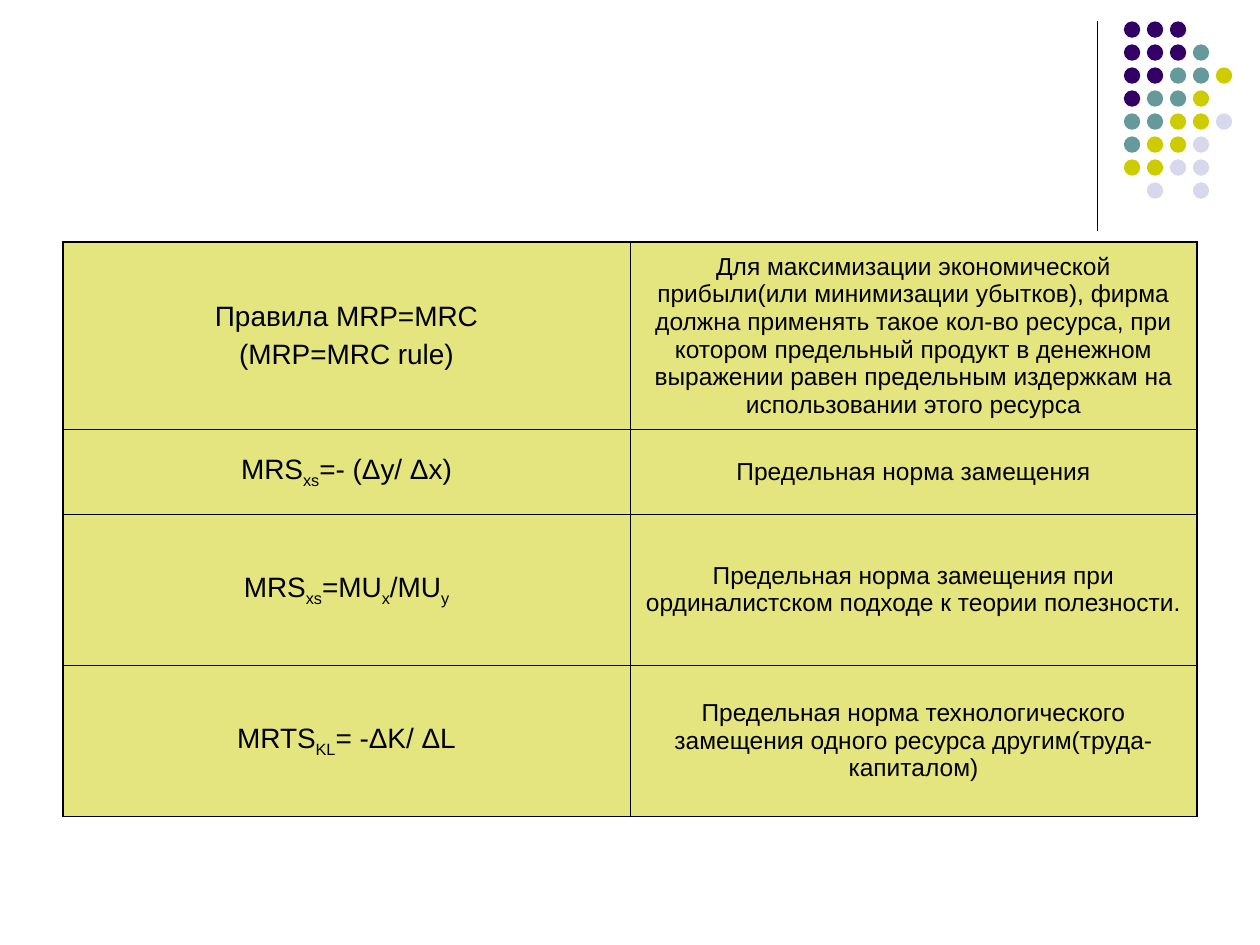
from lxml import etree
from pptx import Presentation
from pptx.dml.color import RGBColor
from pptx.enum import shapes, text
from pptx.oxml import ns
from pptx.util import Inches, Pt

BLACK = RGBColor(0x00, 0x00, 0x00)
OLIVE = RGBColor(0xCC, 0xCC, 0x00)
DOT_COLORS = {
    "P": RGBColor(0x33, 0x00, 0x66),
    "T": RGBColor(0x66, 0x99, 0x99),
    "O": OLIVE,
    "L": RGBColor(0xD8, 0xD8, 0xEC),
}
DOT_ROWS = ["PPP", "PPPT", "PPTTO", "PTTO", "TTOOL", "TOOL", "OOLL", " L L"]
DOT_LEFT, DOT_TOP, DOT_SIZE = 8.92, 0.17, 0.13
DOT_PITCH = 0.73 / 4

ROW_HEIGHTS = [1.49, 0.67, 1.2, 1.2]
COLUMN_WIDTH = 4.5
OUTER_BORDER, INNER_BORDER = 1.08, 0.45
COLUMN_STYLES = [(16, 4), (14, 3.5)]
SUBSCRIPT_MARK = "_"
FORMULAS = [
    (["Правила MRP=MRC", "(MRP=MRC rule)"],
     ["Для максимизации экономической прибыли(или минимизации убытков), "
      "фирма должна применять такое кол-во ресурса, при котором предельный "
      "продукт в денежном выражении равен предельным издержкам на "
      "использовании этого ресурса"]),
    (["MRS_xs_=- (Δy/ Δx)"], ["Предельная норма замещения"]),
    (["MRS_xs_=MU_x_/MU_y_"],
     ["Предельная норма замещения при ординалистском подходе к теории "
      "полезности."]),
    (["MRTS_KL_= -ΔK/ ΔL"],
     ["Предельная норма технологического замещения одного ресурса "
      "другим(труда-капиталом)"]),
]


def add_divider(slide):
    divider = slide.shapes.add_connector(
        shapes.MSO_CONNECTOR.STRAIGHT,
        Inches(8.71), Inches(0.17), Inches(8.71), Inches(1.83))
    divider.line.color.rgb = BLACK
    divider.line.width = Pt(0.75)
    etree.SubElement(divider._element.spPr, ns.qn("a:effectLst"))


def add_dot(slide, row, column, color):
    dot = slide.shapes.add_shape(
        shapes.MSO_SHAPE.OVAL,
        Inches(DOT_LEFT + column * DOT_PITCH),
        Inches(DOT_TOP + row * DOT_PITCH),
        Inches(DOT_SIZE), Inches(DOT_SIZE))
    dot.fill.solid()
    dot.fill.fore_color.rgb = color
    dot.line.fill.background()
    dot.shadow.inherit = False


def add_dot_pattern(slide):
    for row, codes in enumerate(DOT_ROWS):
        for column, code in enumerate(codes):
            if code in DOT_COLORS:
                add_dot(slide, row, column, DOT_COLORS[code])


def set_borders(cell, widths):
    properties = cell._tc.get_or_add_tcPr()
    for side, width in widths.items():
        border = etree.SubElement(
            properties, ns.qn(f"a:ln{side}"), w=str(int(Pt(width))))
        paint = etree.SubElement(border, ns.qn("a:solidFill"))
        etree.SubElement(paint, ns.qn("a:srgbClr"), val=str(BLACK))


def set_translucent_fill(cell):
    cell.fill.solid()
    cell.fill.fore_color.rgb = OLIVE
    color = cell._tc.tcPr.find(
        f"{ns.qn('a:solidFill')}/{ns.qn('a:srgbClr')}")
    etree.SubElement(color, ns.qn("a:alpha"), val="50000")


def write_paragraph(paragraph, content, size, space_before):
    paragraph.alignment = text.PP_ALIGN.CENTER
    paragraph.space_before = Pt(space_before)
    paragraph.font.name = "Arial"
    paragraph.font.size = Pt(size)
    paragraph.font.color.rgb = BLACK
    for index, part in enumerate(content.split(SUBSCRIPT_MARK)):
        if part:
            run = paragraph.add_run()
            run.text = part
            if index % 2:
                run._r.get_or_add_rPr().set("baseline", "-25000")


def fill_cell(cell, lines, size, space_before):
    cell.vertical_anchor = text.MSO_ANCHOR.MIDDLE
    set_translucent_fill(cell)
    frame = cell.text_frame
    for index, line in enumerate(lines):
        paragraph = frame.add_paragraph() if index else frame.paragraphs[0]
        write_paragraph(paragraph, line, size, space_before)


def add_formula_table(slide):
    row_count, column_count = len(FORMULAS), len(COLUMN_STYLES)
    table = slide.shapes.add_table(
        row_count, column_count, Inches(0.5), Inches(1.92),
        Inches(COLUMN_WIDTH * column_count), Inches(sum(ROW_HEIGHTS))).table
    table.first_row = False
    table.horz_banding = False
    for column in table.columns:
        column.width = Inches(COLUMN_WIDTH)
    for r, entry in enumerate(FORMULAS):
        table.rows[r].height = Inches(ROW_HEIGHTS[r])
        for c, lines in enumerate(entry):
            on_edge = {"L": c == 0, "R": c == column_count - 1,
                       "T": r == 0, "B": r == row_count - 1}
            cell = table.cell(r, c)
            set_borders(cell, {side: OUTER_BORDER if edge else INNER_BORDER
                               for side, edge in on_edge.items()})
            fill_cell(cell, lines, *COLUMN_STYLES[c])


def main():
    deck = Presentation()
    deck.slide_width, deck.slide_height = Inches(10), Inches(7.5)
    slide = deck.slides.add_slide(deck.slide_layouts[6])
    add_divider(slide)
    add_dot_pattern(slide)
    add_formula_table(slide)
    deck.save("out.pptx")


if __name__ == "__main__":
    main()
